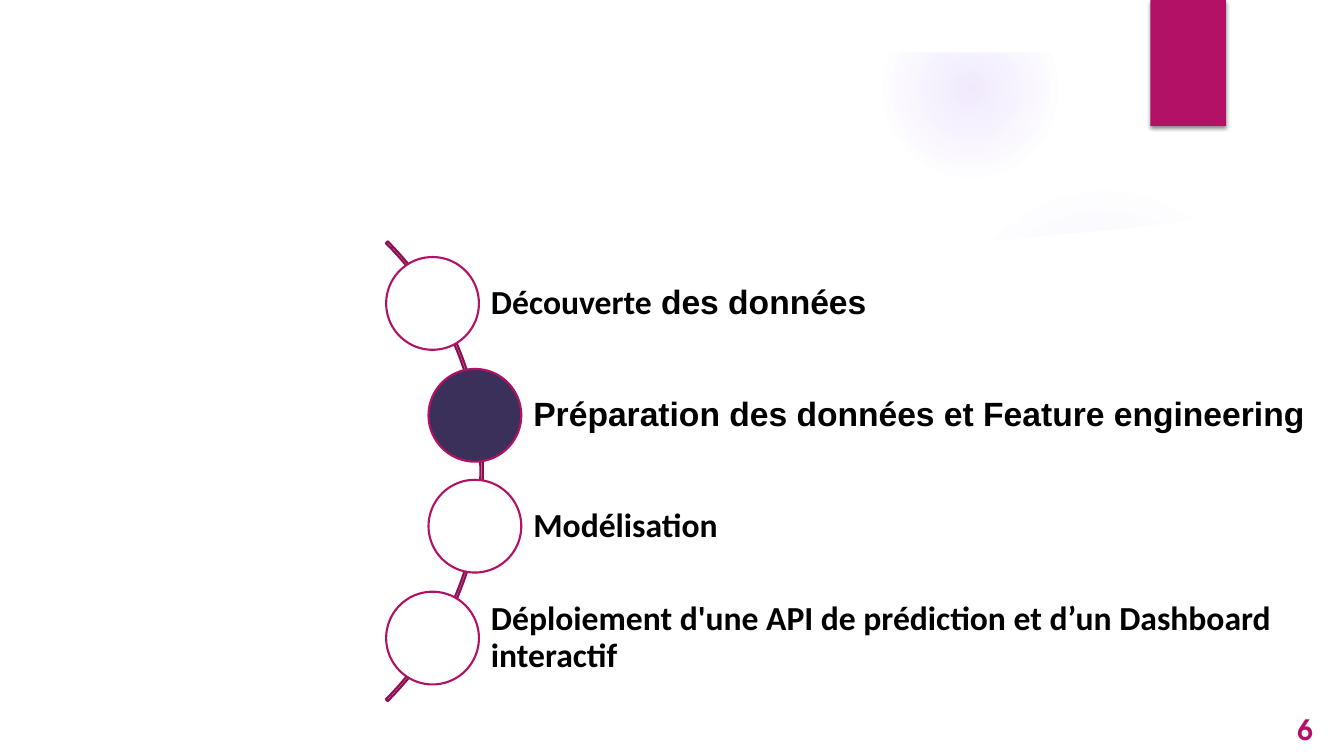
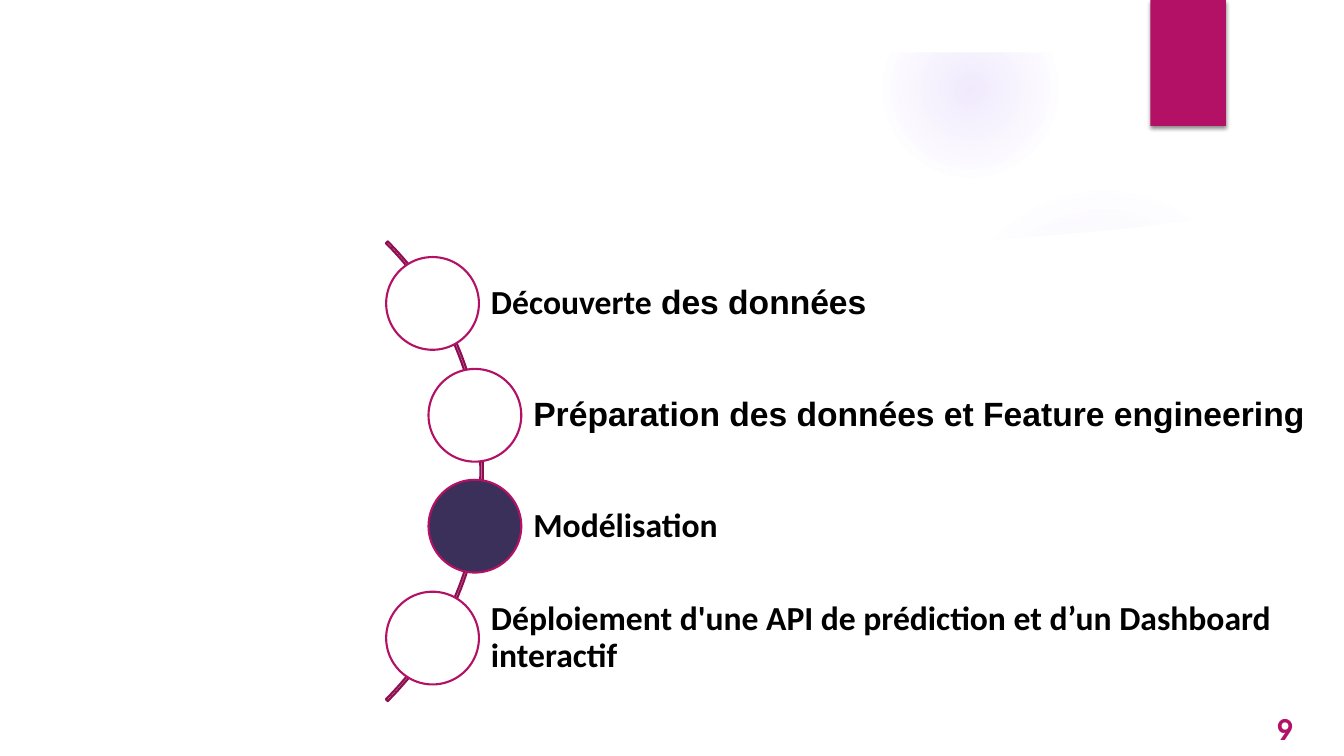
"""Builds two agenda slides that mark the current step on an arc."""
from pptx import Presentation, util as u
from pptx.dml.color import RGBColor
from pptx.enum import shapes, text
from pptx.oxml import parse_xml
from pptx.oxml.ns import nsdecls, qn

PX = 9144
WIDTH, HEIGHT = 1333, 750
WHITE, BLACK, MAGENTA, PLUM, ARC, LILAC = (
    "FFFFFF", "000000", "B31166", "3B3059", "8F0E52", "9B6BF2")
HEADING, BODY, NUMBER = "Arial", "Calibri", "TeX Gyre Adventor"

STEPS = [
    [("Découverte", BODY), (" des données", HEADING)],
    [("Préparation des données et Feature engineering", HEADING)],
    [("Modélisation", BODY)],
    [("Déploiement d'une API de prédiction et d’un Dashboard interactif", BODY)],
]
SLIDES = [
    {"number": "6", "number_box": (1277, 707, 49, 34), "current": 1},
    {"number": "9", "number_box": (1257, 707, 64, 34), "current": 2},
]

GLOWS = [
    ((941, 183, 308, 308), [(0, 7), (36, 6), (69, 0)]),
    ((875, 1, 175, 175), [(0, 14), (36, 7), (73, 0)]),
]
SHEET = [(934, 250), (1040, 246), (1165, 233), (1289, 214), (1283, 166),
         (1225, 185), (1167, 200), (1109, 214), (1053, 225), (999, 234),
         (930, 243)]
PANEL = [(50, 204), (50, 700), (1284, 700), (1284, 204), (1228, 213),
         (1172, 220), (1116, 227), (1060, 232), (1004, 237), (949, 241),
         (867, 245), (786, 247), (682, 248), (583, 246), (488, 243),
         (401, 238), (321, 233), (249, 227), (187, 221), (135, 215),
         (94, 210)]
FRAME_WIDTH = 52
TAG = (1141, 0, 75, 125)

ARC_BOX = (-166, 145, 645, 645)
STEP_X = [429, 471, 471, 429]
FIRST_Y, LAST_Y = 301, 633
DOT, LABEL_HEIGHT, LABEL_RIGHT = 92, 74, 1326


def color(value):
    return RGBColor.from_string(value)


def emu(box):
    return [u.Emu(length * PX) for length in box]


def style(shape, fill=None, line=None):
    shape.shadow.inherit = False
    if fill:
        shape.fill.solid()
        shape.fill.fore_color.rgb = color(fill)
    else:
        shape.fill.background()
    if line:
        shape.line.color.rgb = color(line)
        shape.line.width = u.Pt(1.5)
    else:
        shape.line.fill.background()
    return shape


def add_preset(slide, kind, box, fill=None, line=None):
    return style(slide.shapes.add_shape(kind, *emu(box)), fill, line)


def add_outline(slide, points):
    builder = slide.shapes.build_freeform(*points[0], scale=PX)
    builder.add_line_segments(points[1:])
    return style(builder.convert_to_shape(), WHITE)


def add_glow(slide, box, stops):
    glow = add_preset(slide, shapes.MSO_SHAPE.OVAL, box)
    stop_xml = "".join(
        f'<a:gs pos="{place * 1000}"><a:srgbClr val="{LILAC}">'
        f'<a:alpha val="{alpha * 1000}"/></a:srgbClr></a:gs>'
        for place, alpha in stops)
    gradient = parse_xml(
        f'<a:gradFill {nsdecls("a")}><a:gsLst>{stop_xml}</a:gsLst><a:path path="circle">'
        '<a:fillToRect l="50000" t="50000" r="50000" b="50000"/></a:path></a:gradFill>')
    properties = glow.element.spPr
    properties.replace(properties.find(qn("a:noFill")), gradient)
    return glow


def add_backdrop(slide, layout):
    parts = [add_glow(slide, *glow) for glow in GLOWS]
    sheet = add_outline(slide, SHEET)
    sheet.element.spPr.find(".//" + qn("a:srgbClr")).append(
        parse_xml(f'<a:alpha {nsdecls("a")} val="20000"/>'))
    panel = add_outline(slide, PANEL)
    frame = add_preset(slide, shapes.MSO_SHAPE.FRAME, (0, 0, WIDTH, HEIGHT), WHITE)
    frame.adjustments[0] = FRAME_WIDTH / HEIGHT
    tag = add_preset(slide, shapes.MSO_SHAPE.RECTANGLE, TAG, MAGENTA)
    tag.element.spPr.find(qn("a:effectLst")).append(parse_xml(
        f'<a:outerShdw {nsdecls("a")} blurRad="38100" dist="25400" dir="5400000" '
        f'rotWithShape="0"><a:srgbClr val="{BLACK}"><a:alpha val="45000"/>'
        '</a:srgbClr></a:outerShdw>'))
    for part in parts + [sheet, panel, frame, tag]:
        layout.shapes.element.append(part.element)


def add_text(slide, box, runs, size, ink):
    frame = slide.shapes.add_textbox(*emu(box)).text_frame
    frame.word_wrap = True
    frame.vertical_anchor = text.MSO_ANCHOR.MIDDLE
    for words, face in runs:
        run = frame.paragraphs[0].add_run()
        run.text = words
        run.font.name = face
        run.font.size = u.Pt(size)
        run.font.bold = True
        run.font.color.rgb = color(ink)
    return frame


def add_steps(slide, current):
    arc = add_preset(slide, shapes.MSO_SHAPE.BLOCK_ARC, ARC_BOX, line=ARC)
    for index, value in enumerate((189, 27, 0.004)):
        arc.adjustments[index] = value
    pitch = (LAST_Y - FIRST_Y) / (len(STEPS) - 1)
    for index, (runs, x) in enumerate(zip(STEPS, STEP_X)):
        y = round(FIRST_Y + index * pitch)
        label_box = (x, y - LABEL_HEIGHT // 2, LABEL_RIGHT - x, LABEL_HEIGHT)
        label = add_text(slide, label_box, runs, 24, BLACK)
        label.paragraphs[0].line_spacing = 0.9
        (label.margin_left, label.margin_top,
         label.margin_right, label.margin_bottom) = emu((58, 7, 7, 7))
        add_preset(slide, shapes.MSO_SHAPE.OVAL,
                   (x - DOT // 2, y - DOT // 2, DOT, DOT),
                   PLUM if index == current else WHITE, MAGENTA)


def main():
    deck = Presentation()
    deck.slide_width, deck.slide_height = emu((WIDTH, HEIGHT))
    layout = deck.slide_layouts[6]
    for position, content in enumerate(SLIDES):
        slide = deck.slides.add_slide(layout)
        if position == 0:
            add_backdrop(slide, layout)
        add_text(slide, content["number_box"], [(content["number"], NUMBER)], 20, MAGENTA)
        add_steps(slide, content["current"])
    deck.save("out.pptx")


if __name__ == "__main__":
    main()
